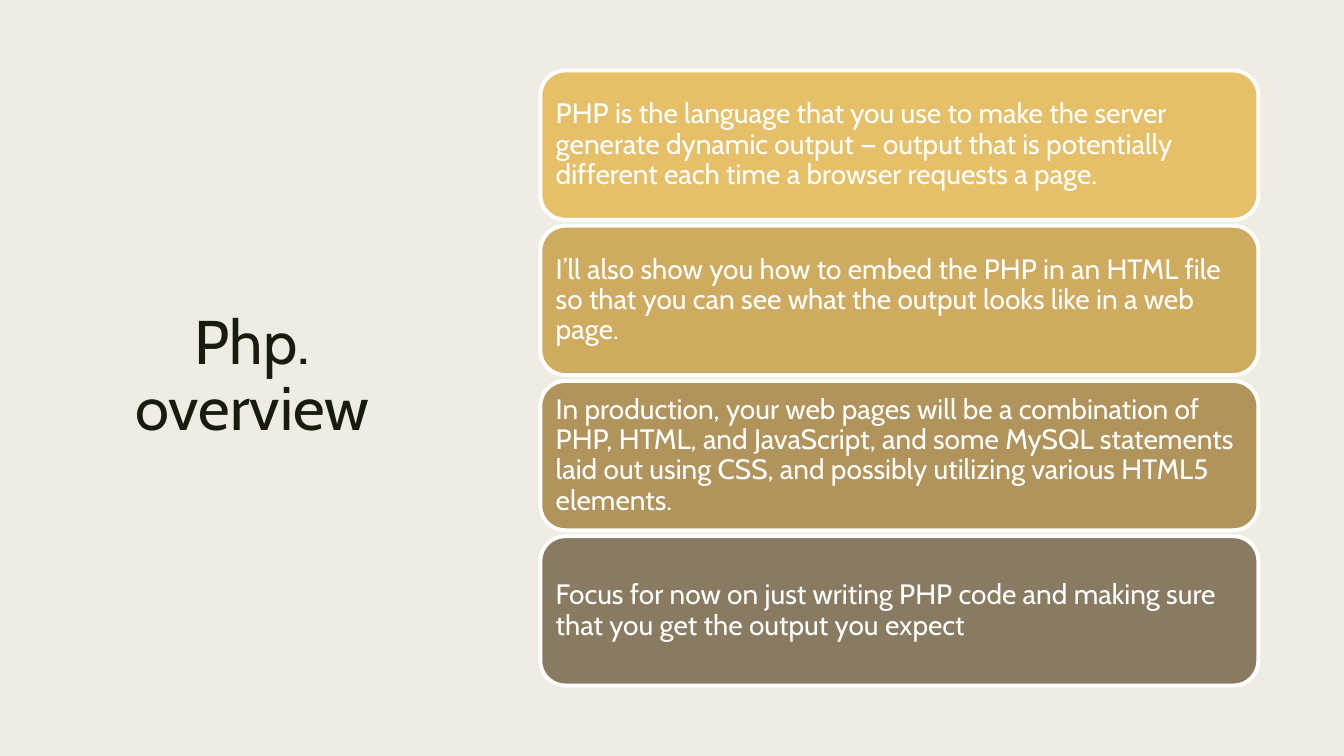
from dataclasses import dataclass
from pptx import Presentation
from pptx import util as u
from pptx.dml import color
from pptx.enum import shapes, text


@dataclass(frozen=True)
class Theme:
    font: str = "Cabin"
    paper: str = "EFEDE3"
    ink: str = "191B0E"
    white: str = "FFFFFF"
    cards: tuple = ("E6C069", "CEAB5F", "B0945B", "897B61")
    title: float = 44
    body: float = 20
    edge: float = 2.75


@dataclass(frozen=True)
class Grid:
    wide: float = 13.33
    high: float = 7.5
    top: float = 0.7
    gap: float = 0.06
    rows: int = 4
    cols: tuple = ((0.7, 3.61), (5.36, 7.12))

    def cell(self, col, row=0, span=1):
        left, width = self.cols[col]
        free = self.high - 2 * self.top - (self.rows - 1) * self.gap
        step = free / self.rows + self.gap
        box = (left, self.top + row * step, width, span * step - self.gap)
        return [u.Inches(n) for n in box]


class Deck:
    def __init__(self, theme, grid):
        self.theme, self.grid = theme, grid
        self.prs = Presentation()
        self.prs.slide_width = u.Inches(grid.wide)
        self.prs.slide_height = u.Inches(grid.high)
        self.slide = self.prs.slides.add_slide(self.prs.slide_layouts[6])
        self.paint(self.slide.background.fill, theme.paper)

    def paint(self, fill, tone):
        fill.solid()
        fill.fore_color.rgb = color.RGBColor.from_string(tone)

    def label(self, shape, words, size, tone, align, space, inset):
        frame = shape.text_frame
        frame.text = words
        frame.word_wrap = True
        frame.vertical_anchor = text.MSO_ANCHOR.MIDDLE
        frame.margin_left = frame.margin_right = u.Inches(inset[0])
        frame.margin_top = frame.margin_bottom = u.Inches(inset[1])
        para = frame.paragraphs[0]
        para.alignment = align
        para.line_spacing = space
        font = para.runs[0].font
        font.name = self.theme.font
        font.size = u.Pt(size)
        font.color.rgb = color.RGBColor.from_string(tone)

    def title(self, words):
        box = self.slide.shapes.add_textbox(*self.grid.cell(0, span=self.grid.rows))
        self.label(box, words, self.theme.title, self.theme.ink,
                   text.PP_ALIGN.CENTER, 0.89, (0.1, 0.05))

    def card(self, row, words, tone):
        card = self.slide.shapes.add_shape(
            shapes.MSO_SHAPE.ROUNDED_RECTANGLE, *self.grid.cell(1, row))
        card.shadow.inherit = False
        self.paint(card.fill, tone)
        self.paint(card.line.fill, self.theme.white)
        card.line.width = u.Pt(self.theme.edge)
        self.label(card, words, self.theme.body, self.theme.white,
                   text.PP_ALIGN.LEFT, 0.9, (0.08, 0.08))


POINTS = (
    "PHP is the language that you use to make the server generate dynamic "
    "output — output that is potentially different each time a browser "
    "requests a page.",
    "I’ll also show you how to embed the PHP in an HTML file so that you can "
    "see what the output looks like in a web page.",
    "In production, your web pages will be a combination of PHP, HTML, and "
    "JavaScript, and some MySQL statements laid out using CSS, and possibly "
    "utilizing various HTML5 elements.",
    "Focus for now on just writing PHP code and making sure that you get the "
    "output you expect",
)


def main():
    theme = Theme()
    deck = Deck(theme, Grid())
    deck.title("Php. overview")
    for row, (words, tone) in enumerate(zip(POINTS, theme.cards)):
        deck.card(row, words, tone)
    deck.prs.save("out.pptx")


if __name__ == "__main__":
    main()
